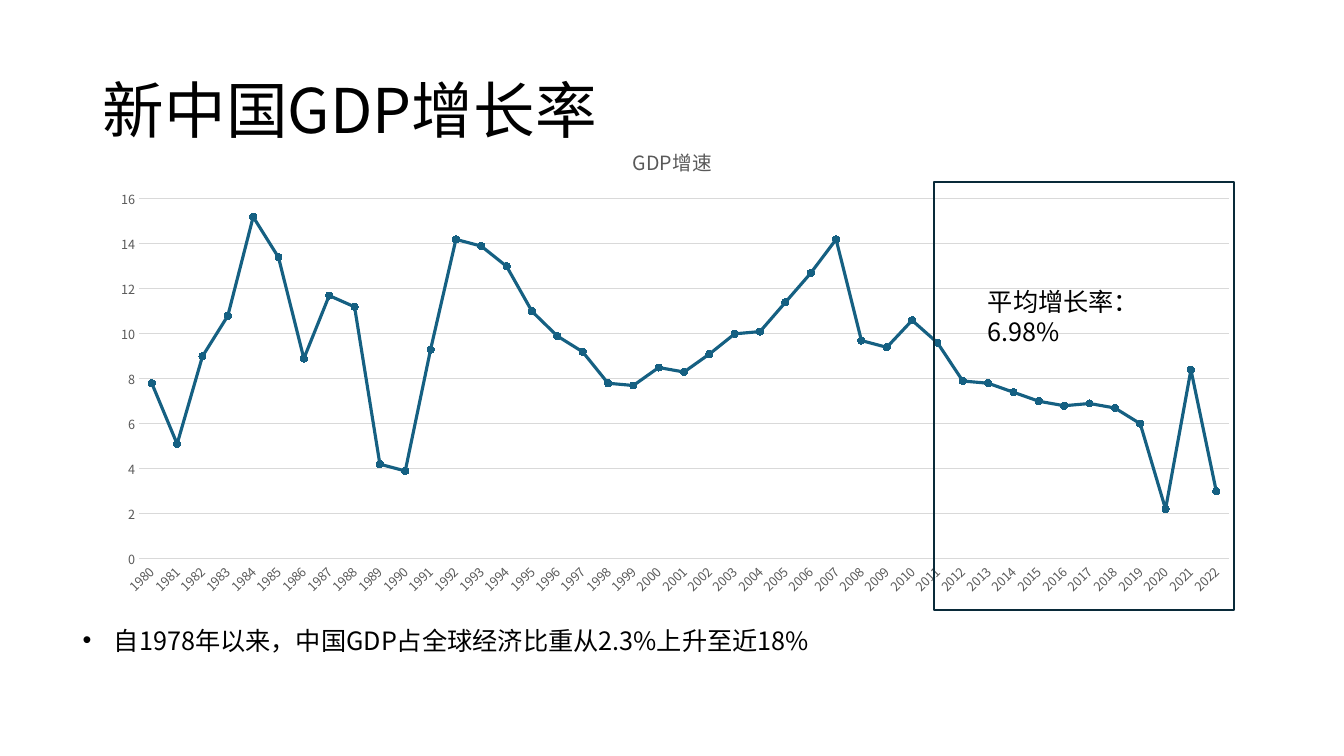
from lxml.etree import SubElement
from pptx import Presentation
from pptx.chart.data import CategoryChartData
from pptx.dml.color import RGBColor
from pptx.enum.chart import XL_CHART_TYPE, XL_MARKER_STYLE, XL_TICK_MARK
from pptx.enum.shapes import MSO_SHAPE
from pptx.enum.text import MSO_ANCHOR, MSO_AUTO_SIZE, PP_ALIGN
from pptx.oxml import parse_xml
from pptx.oxml.ns import nsdecls, qn
from pptx.util import Inches, Pt

FONT = "Noto Sans CJK SC"
COLORS = {"text": "000000", "label": "595959", "grid": "D9D9D9",
          "series": "156082", "frame": "092A39"}
START = 1980
RATES = [7.8, 5.1, 9, 10.8, 15.2, 13.4, 8.9, 11.7, 11.2, 4.2, 3.9,
         9.3, 14.2, 13.9, 13, 11, 9.9, 9.2, 7.8, 7.7, 8.5, 8.3,
         9.1, 10, 10.1, 11.4, 12.7, 14.2, 9.7, 9.4, 10.6, 9.6, 7.9,
         7.8, 7.4, 7, 6.8, 6.9, 6.7, 6, 2.2, 8.4, 3]


def color(name):
    """Return the named colour."""
    return RGBColor.from_string(COLORS[name])


def style(font, size, tone="text"):
    """Set face, size and colour of a font."""
    font.name, font.size, font.bold = FONT, Pt(size), False
    font.color.rgb = color(tone)


def write(frame, text, size=18, tone="text", spacing=1.0):
    """Write one formatted paragraph into a text frame and return it."""
    para = frame.paragraphs[0]
    para.alignment = PP_ALIGN.LEFT
    para.line_spacing = spacing
    para.space_before = Pt(0)
    run = para.add_run()
    run.text = text
    style(run.font, size, tone)
    east = SubElement(run.font._element, qn("a:ea"))
    east.set("typeface", FONT)
    return para


def place(shape, left, top, width, height):
    """Move and size a shape, in inches."""
    shape.left, shape.top = Inches(left), Inches(top)
    shape.width, shape.height = Inches(width), Inches(height)


def add_title(slide, text):
    """Fill the title placeholder."""
    title = slide.shapes.title
    place(title, 0.92, 0.4, 11.5, 1.45)
    title.text_frame.vertical_anchor = MSO_ANCHOR.MIDDLE
    write(title.text_frame, text, size=44, spacing=0.9)


def add_list(slide, text):
    """Fill the body placeholder with one bullet."""
    body = slide.placeholders[1]
    place(body, 0.72, 6.15, 12.36, 0.4)
    body.text_frame.auto_size = MSO_AUTO_SIZE.SHAPE_TO_FIT_TEXT
    props = write(body.text_frame, text)._p.get_or_add_pPr()
    props.set("marL", str(Inches(0.31)))
    props.set("indent", str(-Inches(0.31)))
    SubElement(props, qn("a:buFont")).set("typeface", "Arial")
    SubElement(props, qn("a:buChar")).set("char", "•")


def add_note(slide, text):
    """Add the text box beside the line."""
    box = slide.shapes.add_textbox(
        Inches(9.7), Inches(2.79), Inches(2.37), Inches(0.4))
    box.text_frame.word_wrap = True
    box.text_frame.auto_size = MSO_AUTO_SIZE.SHAPE_TO_FIT_TEXT
    write(box.text_frame, text)


def add_frame(slide):
    """Outline the latest years."""
    frame = slide.shapes.add_shape(
        MSO_SHAPE.RECTANGLE,
        Inches(9.26), Inches(1.81), Inches(2.98), Inches(4.24))
    frame.shadow.inherit = False
    frame.fill.background()
    frame.line.color.rgb = color("frame")
    frame.line.width = Pt(1.5)


def rule(line, tone, width):
    """Set colour and width of a chart line."""
    line.color.rgb = color(tone)
    line.width = Pt(width)


def set_plot(chart, left, top, width, height):
    """Fix the inner plot area as fractions of the chart."""
    parts = {"x": left, "y": top, "w": width, "h": height}
    sizes = "".join(f'<c:{key} val="{val}"/>' for key, val in parts.items())
    area = chart._chartSpace.chart.plotArea
    for old in area.findall(qn("c:layout")):
        area.remove(old)
    area.insert(0, parse_xml(
        f'<c:layout {nsdecls("c")}><c:manualLayout>'
        '<c:layoutTarget val="inner"/><c:xMode val="edge"/>'
        f'<c:yMode val="edge"/>{sizes}</c:manualLayout></c:layout>'))


def set_axes(chart):
    """Format both axes and the grid."""
    for axis in (chart.category_axis, chart.value_axis):
        axis.major_tick_mark = axis.minor_tick_mark = XL_TICK_MARK.NONE
        style(axis.tick_labels.font, 9, "label")
    rule(chart.category_axis.format.line, "grid", 0.75)
    turn = chart.category_axis._element.find(qn("c:txPr")).find(qn("a:bodyPr"))
    turn.set("rot", str(-45 * 60000))
    scale = chart.value_axis
    scale.minimum_scale, scale.maximum_scale, scale.major_unit = 0, 16, 2
    scale.format.line.fill.background()
    rule(scale.major_gridlines.format.line, "grid", 0.75)


def add_graph(slide, title):
    """Add the line chart of yearly growth."""
    data = CategoryChartData()
    data.categories = [str(START + step) for step in range(len(RATES))]
    data.add_series(title, RATES)
    chart = slide.shapes.add_chart(
        XL_CHART_TYPE.LINE_MARKERS, Inches(0.92), Inches(1.26),
        Inches(11.5), Inches(4.76), data).chart
    style(chart.font, 10)
    chart.has_legend = False
    chart.has_title = True
    write(chart.chart_title.text_frame, title, size=14, tone="label")
    chart.chart_title.include_in_layout = False
    chart.plots[0].vary_by_categories = False
    set_axes(chart)
    set_plot(chart, 0.04, 0.15, 0.94, 0.75)
    series = chart.plots[0].series[0]
    series.smooth = False
    rule(series.format.line, "series", 2.25)
    marker = series.marker
    marker.style, marker.size = XL_MARKER_STYLE.CIRCLE, 5
    marker.format.fill.solid()
    marker.format.fill.fore_color.rgb = color("series")
    rule(marker.format.line, "series", 0.75)


def main():
    """Build the slide and save it."""
    deck = Presentation()
    deck.slide_width, deck.slide_height = Inches(13.33), Inches(7.5)
    slide = deck.slides.add_slide(deck.slide_layouts[1])
    add_title(slide, "新中国GDP增长率")
    add_graph(slide, "GDP增速")
    add_frame(slide)
    add_note(slide, "平均增长率：6.98%")
    add_list(slide, "自1978年以来，中国GDP占全球经济比重从2.3%上升至近18%")
    deck.save("out.pptx")


if __name__ == "__main__":
    main()
